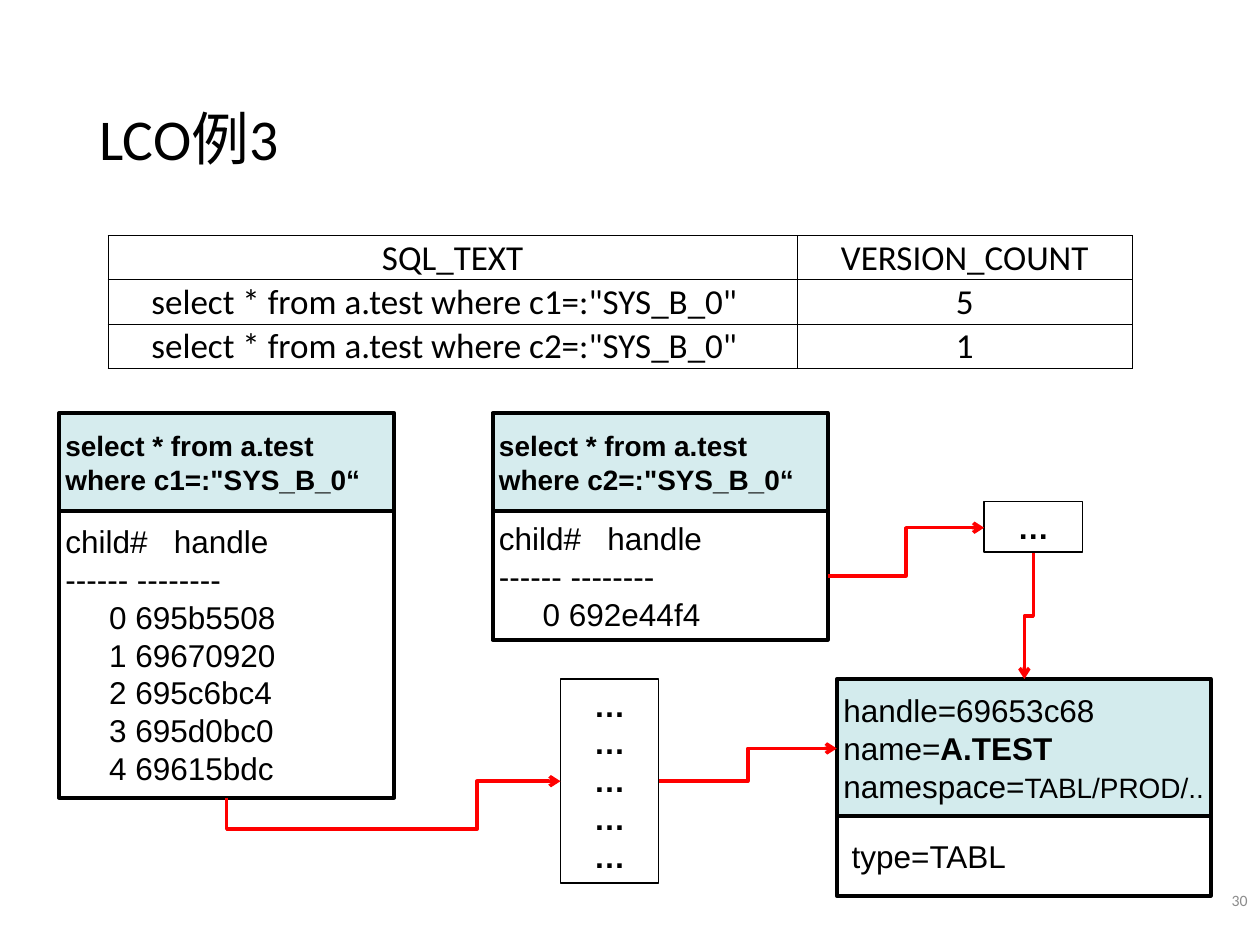
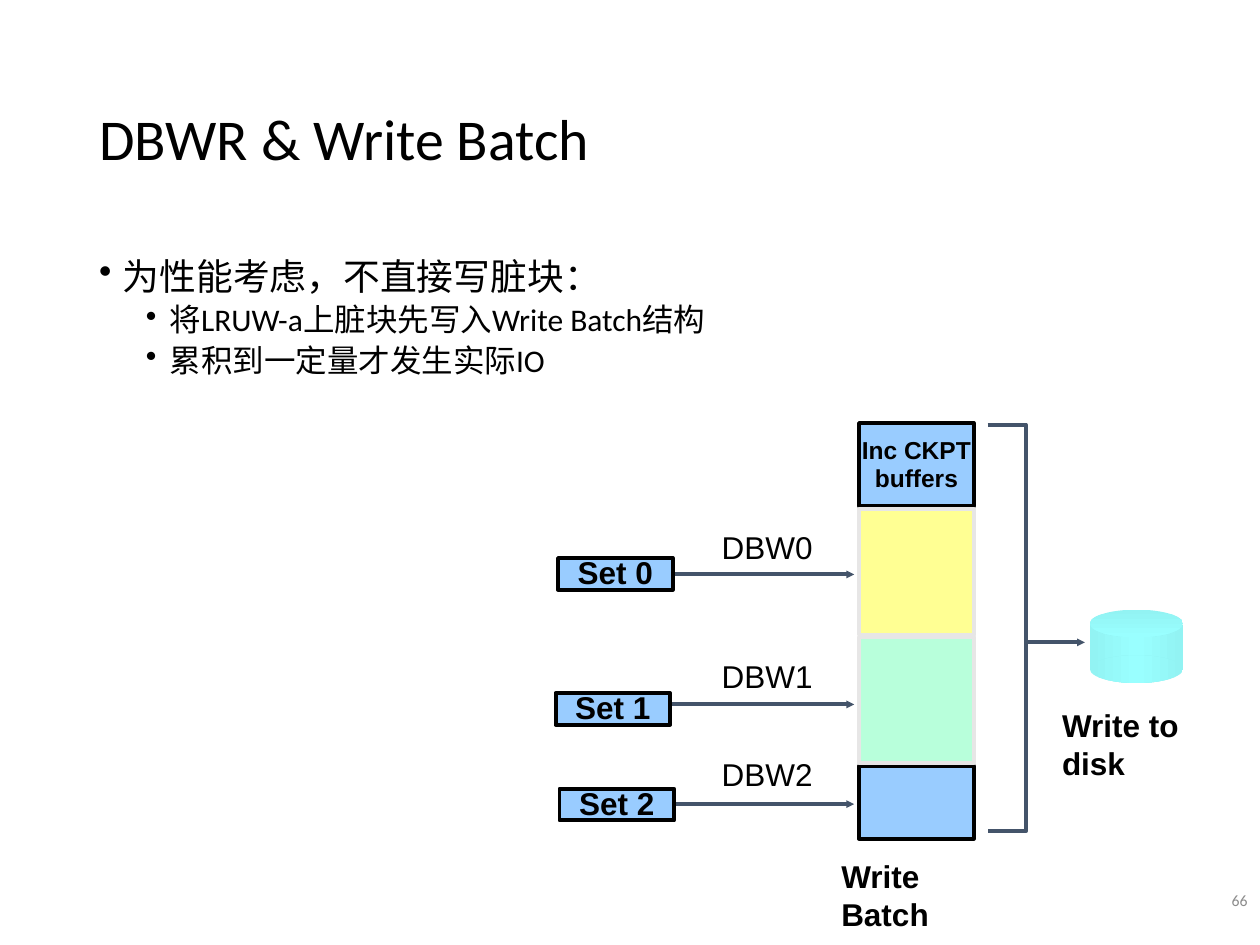
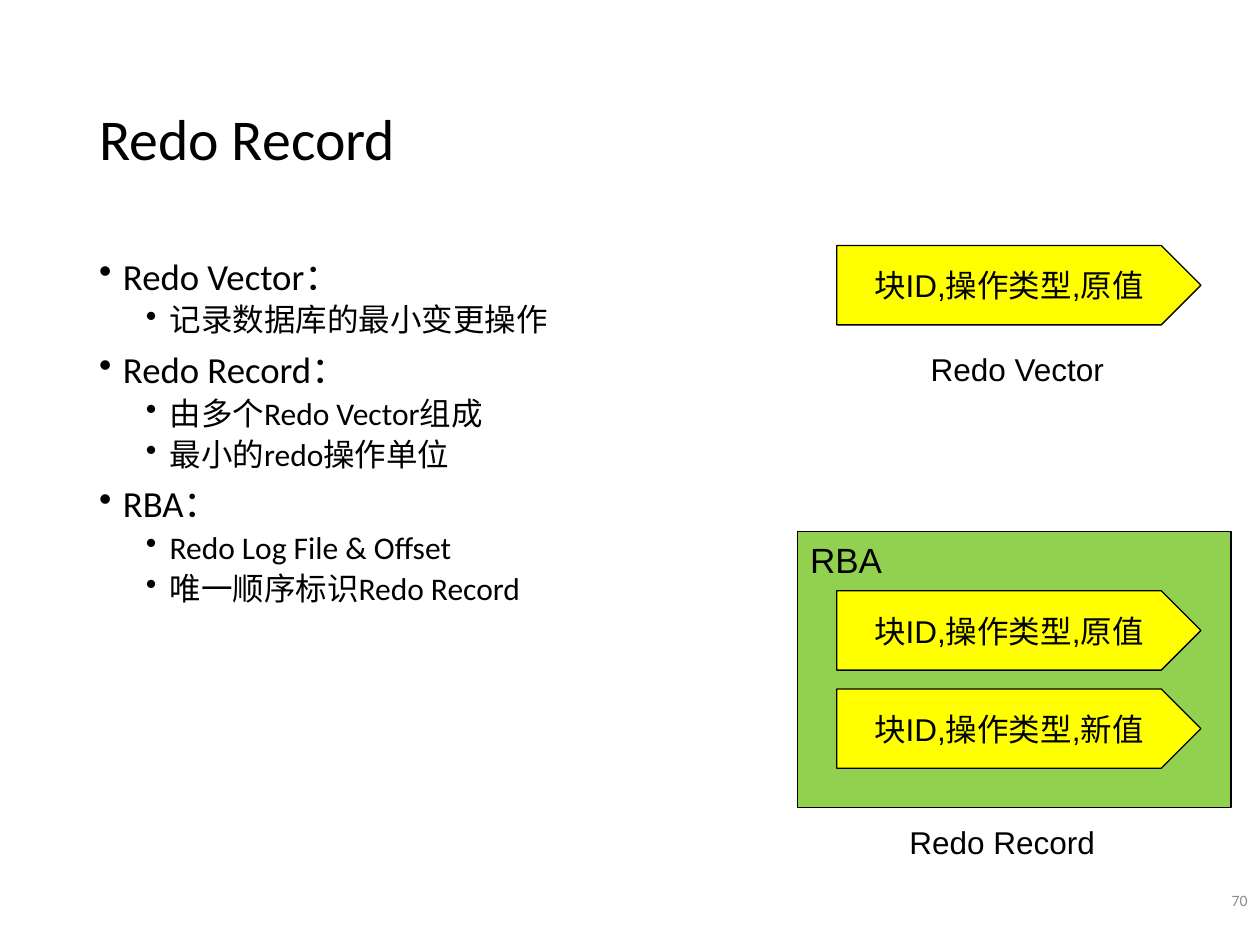
from lxml import etree
from pptx import Presentation
from pptx.dml.color import RGBColor
from pptx.enum.shapes import MSO_CONNECTOR, MSO_SHAPE
from pptx.enum.text import MSO_ANCHOR, PP_ALIGN
from pptx.oxml.ns import qn
from pptx.util import Cm, Pt

rgb = RGBColor.from_string
RECTANGLE, OVAL, PENTAGON = MSO_SHAPE.RECTANGLE, MSO_SHAPE.OVAL, MSO_SHAPE.PENTAGON
STRAIGHT, ELBOW = MSO_CONNECTOR.STRAIGHT, MSO_CONNECTOR.ELBOW
LEFT, CENTER, RIGHT = PP_ALIGN.LEFT, PP_ALIGN.CENTER, PP_ALIGN.RIGHT
TOP, MIDDLE = MSO_ANCHOR.TOP, MSO_ANCHOR.MIDDLE

BLACK, WHITE, GREY, RED = "000000", "FFFFFF", "8C8C8C", "FF0000"
SLATE, SILVER, BLUE = "44546A", "E7E6E6", "99CCFF"
HEADING, BODY = "Calibri", "Arial"


def add_box(slide, kind, place, lines=(), size=18, font=BODY, colour=BLACK, bold=False,
            fill=None, line=None, weight=0.75, align=LEFT, anchor=TOP,
            inset=0.25, wrap=True, spacing=None):
    """Add a preset shape, or a text box when kind is None."""
    place = [Cm(value) for value in place]
    if kind is None:
        shape = slide.shapes.add_textbox(*place)
    else:
        shape = slide.shapes.add_shape(kind, *place)
        shape.shadow.inherit = False
        if fill:
            shape.fill.solid()
            shape.fill.fore_color.rgb = rgb(fill)
        else:
            shape.fill.background()
        if line:
            shape.line.color.rgb = rgb(line)
            shape.line.width = Pt(weight)
        else:
            shape.line.fill.background()
    frame = shape.text_frame
    frame.word_wrap = wrap
    frame.vertical_anchor = anchor
    frame.margin_left = frame.margin_right = Cm(inset)
    frame.margin_top = frame.margin_bottom = Cm(0.13)
    for index, text in enumerate(lines):
        paragraph = frame.paragraphs[0] if index == 0 else frame.add_paragraph()
        paragraph.add_run().text = text
        paragraph.alignment = align
        if spacing:
            paragraph.line_spacing = spacing
        paragraph.font.size = Pt(size)
        paragraph.font.name = font
        paragraph.font.bold = bold
        paragraph.font.color.rgb = rgb(colour)
    return shape


def add_arrow(slide, kind, x1, y1, x2, y2, colour, weight, head, head_size, vertical=False):
    """Add an arrow; a vertical elbow leaves its start up or down."""
    if vertical:
        middle_x, middle_y = (x1 + x2) / 2, (y1 + y2) / 2
        half_x, half_y = (x2 - x1) / 2, (y2 - y1) / 2
        x1, y1 = middle_x - half_y, middle_y + half_x
        x2, y2 = middle_x + half_y, middle_y - half_x
    connector = slide.shapes.add_connector(kind, Cm(x1), Cm(y1), Cm(x2), Cm(y2))
    connector.line.color.rgb = rgb(colour)
    connector.line.width = Pt(weight)
    properties = connector._element.spPr
    if vertical:
        properties.find(qn("a:xfrm")).set("rot", "5400000")
    etree.SubElement(properties.find(qn("a:ln")), qn("a:tailEnd"),
                     type=head, w=head_size, len=head_size)
    etree.SubElement(properties, qn("a:effectLst"))
    return connector


presentation = Presentation()
presentation.slide_width, presentation.slide_height = Cm(25.4), Cm(19.05)

# Title, page number and bullets of each slide
outlines = [
    ("LCO例3", "30", []),
    ("DBWR & Write Batch", "66", [
        (0, "为性能考虑，不直接写脏块："),
        (1, "将LRUW-a上脏块先写入Write Batch结构"),
        (1, "累积到一定量才发生实际IO")]),
    ("Redo Record", "70", [
        (0, "Redo Vector："),
        (1, "记录数据库的最小变更操作"),
        (0, "Redo Record："),
        (1, "由多个Redo Vector组成"),
        (1, "最小的redo操作单位"),
        (0, "RBA："),
        (1, "Redo Log File & Offset"),
        (1, "唯一顺序标识Redo Record")]),
]
bullet_styles = [(0.48, 7.5, 21), (1.42, 3.8, 18)]
slides = []
for title, number, bullets in outlines:
    slide = presentation.slides.add_slide(presentation.slide_layouts[6])
    slides.append(slide)
    add_box(slide, None, (1.75, 1.02, 21.89, 3.68), [title], 33, HEADING,
            anchor=MIDDLE, spacing=0.9)
    add_box(slide, None, (19.48, 17.78, 5.92, 0.74), [number], 9, HEADING, GREY,
            align=RIGHT, anchor=MIDDLE)
    if not bullets:
        continue
    frame = add_box(slide, None, (1.75, 5.08, 21.89, 12.09)).text_frame
    for index, (level, text) in enumerate(bullets):
        margin, space_before, size = bullet_styles[level]
        paragraph = frame.paragraphs[0] if index == 0 else frame.add_paragraph()
        paragraph.text = text
        paragraph.level = level
        properties = paragraph._p.get_or_add_pPr()
        properties.set("marL", str(Cm(margin)))
        properties.set("indent", str(Cm(-0.48)))
        etree.SubElement(properties, qn("a:buChar"), char="•")
        paragraph.line_spacing = 0.9
        if index:
            paragraph.space_before = Pt(space_before)
        paragraph.font.size = Pt(size)
        paragraph.font.name = HEADING
        paragraph.font.color.rgb = rgb(BLACK)
cursor_slide, batch_slide, redo_slide = slides

# Cursor slide: version count table
rows = [
    ("SQL_TEXT", "VERSION_COUNT"),
    ('select * from a.test where c1=:"SYS_B_0"', "5"),
    ('select * from a.test where c2=:"SYS_B_0"', "1"),
]
table = cursor_slide.shapes.add_table(3, 2, Cm(2.18), Cm(4.75), Cm(20.65), Cm(2.67)).table
table.first_row = table.horz_banding = False
table.columns[0].width, table.columns[1].width = Cm(13.89), Cm(6.76)
for row_index, row in enumerate(rows):
    table.rows[row_index].height = Cm(0.89)
    for column_index, text in enumerate(row):
        cell = table.cell(row_index, column_index)
        cell.text = text
        cell.vertical_anchor = MIDDLE
        cell.margin_left = cell.margin_right = cell.margin_top = Cm(0.03)
        cell.margin_bottom = 0
        if row_index and column_index == 0:
            cell.margin_right = Cm(0.36)
        paragraph = cell.text_frame.paragraphs[0]
        paragraph.alignment = CENTER
        paragraph.font.size = Pt(20)
        paragraph.font.name = HEADING
        paragraph.font.color.rgb = rgb(BLACK)
        properties = cell._tc.get_or_add_tcPr()
        for side in ("a:lnL", "a:lnR", "a:lnT", "a:lnB"):
            border = etree.SubElement(properties, qn(side), w=str(Pt(0.5)))
            border_fill = etree.SubElement(border, qn("a:solidFill"))
            etree.SubElement(border_fill, qn("a:srgbClr"), val=BLACK)
        cell.fill.background()

# Cursor slide: parent cursors with their children
framed = dict(line=BLACK, weight=2.25, anchor=MIDDLE, inset=0.13, wrap=False)
cursors = [
    (1.19, "c1", 5.77, ["0 695b5508", "1 69670920", "2 695c6bc4", "3 695d0bc0", "4 69615bdc"]),
    (9.93, "c2", 2.59, ["0 692e44f4"]),
]
for left, column, height, children in cursors:
    add_box(cursor_slide, RECTANGLE, (left, 8.33, 6.76, 1.98),
            ["select * from a.test", f'where {column}=:"SYS_B_0“'], 16,
            bold=True, fill="D6ECEE", **framed)
    add_box(cursor_slide, RECTANGLE, (left, 10.31, 6.76, height),
            ["child#   handle", "------ --------"] + ["     " + child for child in children],
            fill=WHITE, **framed)

# Cursor slide: table object
handle = add_box(cursor_slide, RECTANGLE, (16.87, 13.69, 7.54, 2.77),
                 ["handle=69653c68", "name=", "namespace="], fill="D3EBED", **framed)
name_run = handle.text_frame.paragraphs[1].add_run()
name_run.text = "A.TEST"
name_run.font.bold = True
namespace_run = handle.text_frame.paragraphs[2].add_run()
namespace_run.text = "TABL/PROD/.."
namespace_run.font.size = Pt(16)
object_type = add_box(cursor_slide, RECTANGLE, (16.87, 16.46, 7.54, 1.6),
                      ["type=TABL"], fill=WHITE, **framed)
object_type.text_frame.margin_left = Cm(0.3)

# Cursor slide: elided heaps and the links between objects
for left, top, height, count in [(11.3, 13.69, 4.11, 5), (19.84, 10.11, 1.02, 1)]:
    add_box(cursor_slide, RECTANGLE, (left, top, 1.98, height), ["…"] * count,
            bold=True, line=BLACK, align=CENTER)
red_arrow = (RED, 2, "arrow", "med")
add_arrow(cursor_slide, ELBOW, 13.28, 15.75, 16.87, 15.09, *red_arrow)
add_arrow(cursor_slide, ELBOW, 16.69, 11.61, 19.84, 10.64, *red_arrow)
add_arrow(cursor_slide, ELBOW, 20.83, 11.15, 20.65, 13.69, *red_arrow, vertical=True)
detour = add_arrow(cursor_slide, ELBOW, 4.57, 16.08, 11.3, 15.75, *red_arrow, vertical=True)
geometry = detour._element.spPr.find(qn("a:prstGeom"))
geometry.set("prst", "bentConnector4")
guides = geometry.find(qn("a:avLst"))
if guides is None:
    guides = etree.SubElement(geometry, qn("a:avLst"))
for guide, value in [("adj1", -192800), ("adj2", 75000)]:
    etree.SubElement(guides, qn("a:gd"), name=guide, fmla=f"val {value}")

# Batch slide: buffer sets and their writers
slate_arrow = (SLATE, 2.25, "triangle", "sm")
writers = [(11.25, 11.25, 11.58, 10.52), (11.2, 13.97, 14.2, 13.11), (11.28, 15.9, 16.21, 15.09)]
for index, (left, top, arrow_y, label_top) in enumerate(writers):
    add_arrow(batch_slide, STRAIGHT, left + 2.31, arrow_y, 17.22, arrow_y, *slate_arrow)
    add_box(batch_slide, RECTANGLE, (left, top, 2.31, 0.64), [f"Set {index}"], bold=True,
            fill=BLUE, align=CENTER, spacing=0.95, **framed)
    add_box(batch_slide, None, (14.3, label_top, 2.59, 1.02), [f"DBW{index}"])

# Batch slide: the write batch stack
stack = [
    (8.53, 1.68, BLUE, BLACK, ["Inc CKPT", "buffers"]),
    (10.26, 2.54, "FFFF93", SILVER, []),
    (15.44, 1.47, BLUE, BLACK, []),
    (12.85, 2.54, "B8FFDB", SILVER, []),
]
for top, height, fill, line, lines in stack:
    add_box(batch_slide, RECTANGLE, (17.32, top, 2.31, height), lines, 14, bold=True,
            fill=fill, align=CENTER, spacing=0.95, **{**framed, "line": line})
add_box(batch_slide, None, (16.71, 17.15, 3.23, 0.84), ["Write Batch"], bold=True)
add_box(batch_slide, None, (21.16, 14.1, 3.45, 0.84), ["Write to disk"], bold=True)

# Batch slide: bracket leading to the disk
builder = batch_slide.shapes.build_freeform(Cm(19.91), Cm(8.56))
builder.add_line_segments([(Cm(20.68), Cm(8.56)), (Cm(20.68), Cm(16.76)),
                           (Cm(19.91), Cm(16.76))], close=False)
bracket = builder.convert_to_shape()
bracket.shadow.inherit = False
bracket.fill.background()
bracket.line.color.rgb = rgb(SLATE)
bracket.line.width = Pt(2.25)
add_arrow(batch_slide, STRAIGHT, 20.68, 12.95, 21.87, 12.95, *slate_arrow)

# Batch slide: disk with shaded side, lid and base
side_stops = [(0, "92F3F3"), (50, "99FFFF"), (100, "92F3F3")]
lid_stops = [(0, "92F3F3"), (100, "99FFFF")]
disk_parts = [
    (RECTANGLE, 12.6, 0.89, side_stops, 0),
    (OVAL, 12.29, 0.56, lid_stops, 270),
    (OVAL, 13.21, 0.56, side_stops, 0),
]
for kind, top, height, stops, angle in disk_parts:
    part = add_box(batch_slide, kind, (21.97, top, 1.88, height))
    part.fill.gradient()
    part.fill.gradient_angle = angle
    stop_list = part._element.spPr.find(qn("a:gradFill")).find(qn("a:gsLst"))
    for stop in list(stop_list):
        stop_list.remove(stop)
    for position, colour in stops:
        stop = etree.SubElement(stop_list, qn("a:gs"), pos=str(position * 1000))
        etree.SubElement(stop, qn("a:srgbClr"), val=colour)

# Redo slide: one vector alone, then two inside a record
add_box(redo_slide, RECTANGLE, (16.08, 10.72, 8.74, 5.56), ["RBA"], 20,
        fill="92D050", line=BLACK)
for top, value in [(4.95, "原值"), (11.91, "原值"), (13.89, "新值")]:
    add_box(redo_slide, PENTAGON, (16.87, top, 7.34, 1.6), [f"块ID,操作类型,{value}"],
            fill="FFFF00", line=BLACK, align=CENTER, anchor=MIDDLE)
for left, top, width, label in [(18.49, 6.93, 4.04, "Redo Vector"),
                                (18.06, 16.46, 4.29, "Redo Record")]:
    add_box(redo_slide, None, (left, top, width, 1.02), [label], align=CENTER, wrap=False)

presentation.save("out.pptx")
